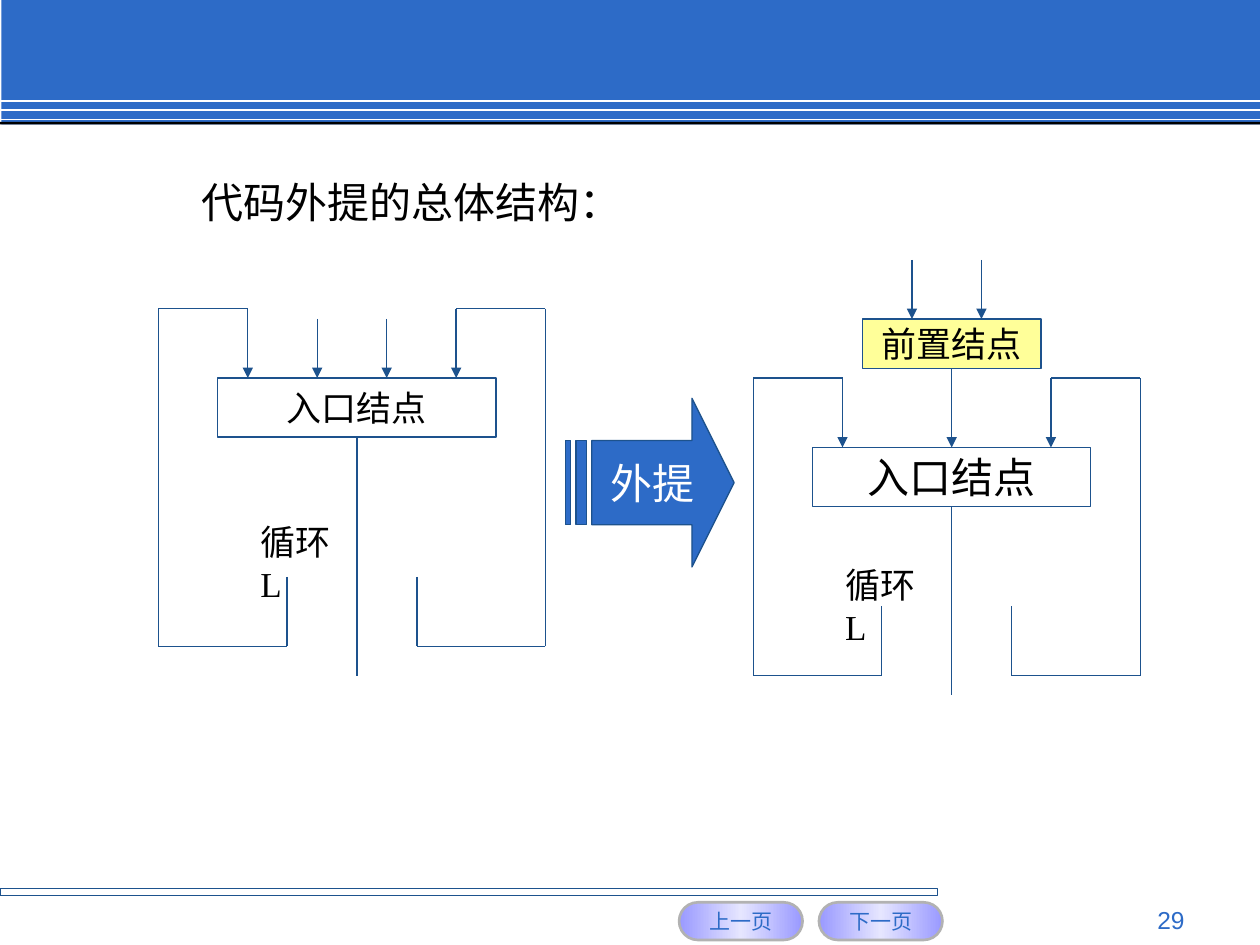
from copy import deepcopy

from lxml import etree
from pptx import Presentation
from pptx.dml.color import RGBColor
from pptx.enum.shapes import MSO_CONNECTOR, MSO_SHAPE
from pptx.enum.text import MSO_ANCHOR, PP_ALIGN
from pptx.oxml.ns import qn
from pptx.util import Cm, Pt

STRAIGHT = MSO_CONNECTOR.STRAIGHT
RECTANGLE = MSO_SHAPE.RECTANGLE
ROUNDED = MSO_SHAPE.ROUNDED_RECTANGLE
STRIPED_ARROW = MSO_SHAPE.STRIPED_RIGHT_ARROW
MIDDLE = MSO_ANCHOR.MIDDLE
TOP = MSO_ANCHOR.TOP
LEFT, CENTER, RIGHT = PP_ALIGN.LEFT, PP_ALIGN.CENTER, PP_ALIGN.RIGHT

BLUE = RGBColor(0x2D, 0x6B, 0xC7)
DARK_BLUE = RGBColor(0x1D, 0x52, 0x8D)
WHITE = RGBColor(0xFF, 0xFF, 0xFF)
BLACK = RGBColor(0x00, 0x00, 0x00)
YELLOW = RGBColor(0xFF, 0xFF, 0x99)
LILAC = RGBColor(0x99, 0x99, 0xFF)
PALE_LILAC = RGBColor(0xE6, 0xE6, 0xFF)
GREY = RGBColor(0xB2, 0xB2, 0xB2)

SLIDE_WIDTH, SLIDE_HEIGHT = 25.4, 19.05
SERIF, SANS = "Times New Roman", "Arial"


def write_text(shape, text, size, color=BLACK, name=SERIF, align=CENTER,
               anchor=MIDDLE, wrap=False, tab=None):
    frame = shape.text_frame
    frame.text = text
    paragraph = frame.paragraphs[0]
    if tab:
        stops = etree.SubElement(paragraph._p.get_or_add_pPr(), qn("a:tabLst"))
        etree.SubElement(stops, qn("a:tab"), pos=str(Cm(tab)), algn="l")
    formats = {
        frame: {"word_wrap": wrap, "vertical_anchor": anchor},
        paragraph: {"alignment": align},
    }
    for target, values in formats.items():
        for attribute, value in values.items():
            setattr(target, attribute, value)
    for run in paragraph.runs:
        run.font.color.rgb = color
        for attribute, value in {"name": name, "size": Pt(size)}.items():
            setattr(run.font, attribute, value)


def add_label(slide, box, text, size, **formats):
    shape = slide.shapes.add_textbox(*map(Cm, box))
    write_text(shape, text, size, **{"align": LEFT, "anchor": TOP, **formats})


def add_block(slide, kind, box, fill=None, line=None, width=0.75):
    shape = slide.shapes.add_shape(kind, *map(Cm, box))
    shape.shadow.inherit = False
    if fill is None:
        shape.fill.background()
    else:
        shape.fill.solid()
        shape.fill.fore_color.rgb = fill
    if line is None:
        shape.line.fill.background()
    else:
        shape.line.color.rgb = line
        shape.line.width = Pt(width)
    return shape


def add_route(slide, points, color=DARK_BLUE, width=0.75, arrow=False):
    for start, end in zip(points, points[1:]):
        connector = slide.shapes.add_connector(STRAIGHT, *map(Cm, start + end))
        connector.line.color.rgb = color
        connector.line.width = Pt(width)
        etree.SubElement(connector._element.spPr, qn("a:effectLst"))
    if arrow:
        etree.SubElement(connector.line._get_or_add_ln(), qn("a:tailEnd"), type="triangle")


def add_header(slide, left, top, width, height):
    add_block(slide, RECTANGLE, (left + 0.03, top, width - 0.03, height), BLUE)
    for offset in (2.03, 2.22, 2.41):
        add_route(slide, [(left, top + offset), (left + width, top + offset)], WHITE, 1)
    add_block(slide, RECTANGLE, (left, top + height - 0.05, width, 0.05), BLACK)


def add_button(slide, box, text):
    shape = add_block(slide, ROUNDED, box, line=GREY, width=1.5)
    shape.adjustments[0] = 0.5
    shape.fill.gradient()
    shape.fill.gradient_angle = 0
    stop_list = shape._element.spPr.find(".//" + qn("a:gsLst"))
    stop_list.append(deepcopy(stop_list[-1]))
    colors = (LILAC, PALE_LILAC, LILAC)
    for index, (stop, color) in enumerate(zip(shape.fill.gradient_stops, colors)):
        stop.position = index / 2
        stop.color.rgb = color
    write_text(shape, text, 12, BLUE, SANS)


def add_footer(slide, left, top):
    add_block(slide, RECTANGLE, (left, top, 18.9, 0.15), line=DARK_BLUE)
    for index, text in enumerate(("上一页", "下一页")):
        add_button(slide, (left + 13.69 + 2.82 * index, top + 0.28, 2.49, 0.76), text)
    add_label(slide, (left + 18.21, top + 0.2, 5.92, 0.69), "29", 14,
              color=BLUE, name=SANS, align=RIGHT, wrap=True)


def add_entry_arrows(slide, axis, bottom):
    for side in (-1, 1):
        x = axis + 0.7 * side
        add_route(slide, [(x, bottom - 1.19), (x, bottom)], arrow=True)


def add_loop(slide, left, top, size, loop_depth, exit_depth):
    width, height = 5.61, 1.19
    center = left + width / 2
    axis = center - 0.1
    entry = add_block(slide, RECTANGLE, (left, top, width, height), line=DARK_BLUE)
    write_text(entry, "入口结点", size)
    add_route(slide, [(center, top + height), (center, top + exit_depth)])
    bottom = top + loop_depth
    for side in (-1, 1):
        inner, outer, landing = (axis + side * reach for reach in (1.31, 3.9, 2.1))
        add_route(slide, [
            (inner, bottom - 1.4), (inner, bottom), (outer, bottom),
            (outer, top - 1.4), (landing, top - 1.4), (landing, top),
        ], arrow=True)
    return center, axis


def add_original_loop(slide, left, top):
    _, axis = add_loop(slide, left, top, 20, 5.41, 6.0)
    add_entry_arrows(slide, axis, top)
    add_label(slide, (left + 0.61, top + 2.74, 3.78, 1.12), "循环\tL", 20, tab=2.85)


def add_hoisted_loop(slide, left, top):
    center, axis = add_loop(slide, left, top, 24, 4.6, 5.0)
    width, height = 3.6, 1
    header_top = top - 2.59
    header = add_block(slide, RECTANGLE, (center - width / 2, header_top, width, height),
                       YELLOW, DARK_BLUE)
    write_text(header, "前置结点", 20)
    add_entry_arrows(slide, axis, header_top)
    add_route(slide, [(center, header_top + height), (center, top)], arrow=True)
    add_label(slide, (left + 0.41, top + 2.21, 3.58, 1.96), "循环\vL", 20, wrap=True)


def add_hoist_arrow(slide, left, top, side):
    arrow = add_block(slide, STRIPED_ARROW, (left, top, side, side), BLUE, DARK_BLUE)
    arrow.adjustments[0] = 0.5
    arrow.adjustments[1] = 0.25
    write_text(arrow, "外提", 24, WHITE)


def main():
    presentation = Presentation()
    presentation.slide_width = Cm(SLIDE_WIDTH)
    presentation.slide_height = Cm(SLIDE_HEIGHT)
    slide = presentation.slides.add_slide(presentation.slide_layouts[6])
    add_header(slide, 0, 0, SLIDE_WIDTH, 2.51)
    add_footer(slide, 0, 17.91)
    add_original_loop(slide, 4.39, 7.62)
    add_hoisted_loop(slide, 16.38, 9.02)
    add_hoist_arrow(slide, 11.4, 8.03, 3.4)
    add_label(slide, (3.81, 3.43, 8.97, 1.27), "代码外提的总体结构：", 24)
    presentation.save("out.pptx")


if __name__ == "__main__":
    main()
